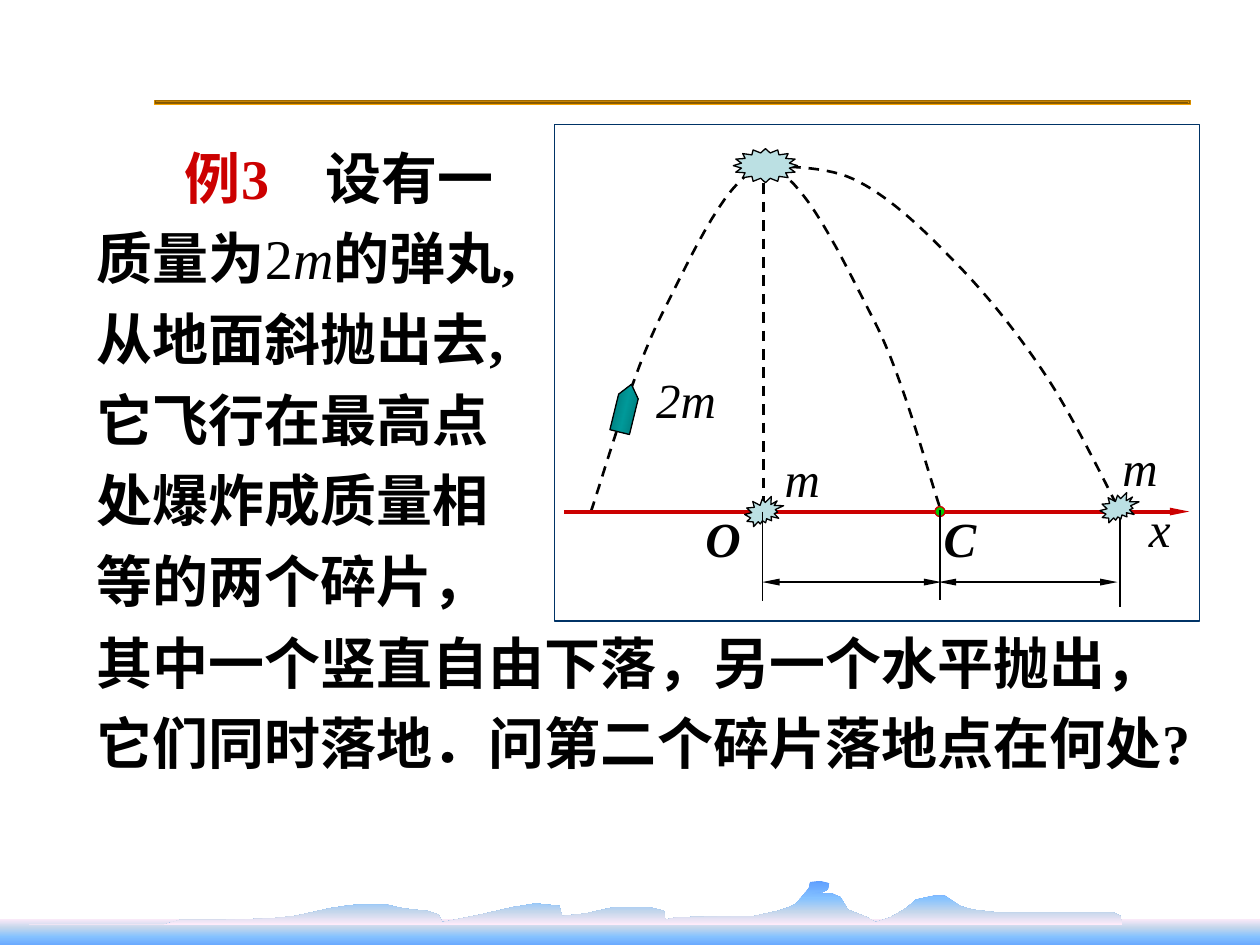
from lxml import etree
from pptx import Presentation
from pptx.dml.color import RGBColor
from pptx.enum.dml import MSO_LINE
from pptx.enum.shapes import MSO_CONNECTOR, MSO_SHAPE
from pptx.oxml.ns import qn
from pptx.util import Inches, Pt

RECTANGLE, OVAL = MSO_SHAPE.RECTANGLE, MSO_SHAPE.OVAL
BURST, STAR = MSO_SHAPE.EXPLOSION2, MSO_SHAPE.STAR_16_POINT
PENTAGON = MSO_SHAPE.PENTAGON
STRAIGHT, DASH = MSO_CONNECTOR.STRAIGHT, MSO_LINE.DASH

COLORS = {
    "black": "000000", "red": "CC0000", "green": "00CC00",
    "burst": "BBE0E3", "frame": "003366",
    "brown": "825600", "gold": "FFA800",
    "teal": "009999", "dark teal": "006D6D",
    "pink": "FFEBFA", "haze": "C4D6EB", "sky": "85C2FF", "blue": "5E9EFF",
}
LATIN, BODY = "Times New Roman", "Arial"

RULE_STOPS = [(position, "gold" if index % 2 else "brown")
              for index, position in enumerate((0, 13, 28, 43, 58, 72, 87, 100))]
SEA_STOPS = [(0, "pink"), (30, "haze"), (60, "sky"), (100, "blue")]
HILL_STOPS = [(100 - position, color) for position, color in reversed(SEA_STOPS)]
SHELL_STOPS = [(0, "dark teal"), (50, "teal"), (100, "dark teal")]

HILLS = [
    (0.23, 7.34), (1.3, 7.34), (1.43, 7.3), (1.78, 7.3), (2.14, 7.29), (2.34, 7.27),
    (2.48, 7.24), (2.61, 7.21), (2.74, 7.19), (2.83, 7.18), (3.07, 7.18), (3.2, 7.21),
    (3.39, 7.23), (3.48, 7.26), (3.51, 7.32), (3.81, 7.26), (3.94, 7.23), (4.07, 7.2),
    (4.25, 7.17), (4.44, 7.19), (4.46, 7.27), (4.65, 7.25), (4.87, 7.2), (5.15, 7.2),
    (5.27, 7.23), (5.28, 7.3), (5.37, 7.28), (5.89, 7.27), (5.99, 7.27), (6.17, 7.23),
    (6.26, 7.2), (6.32, 7.17), (6.42, 7.05), (6.43, 7), (6.51, 6.99), (6.58, 7.01),
    (6.57, 7.06), (6.53, 7.08), (6.41, 7.09), (6.6, 7.09), (6.67, 7.12), (6.73, 7.22),
    (6.88, 7.28), (6.95, 7.32), (7.07, 7.28), (7.19, 7.21), (7.27, 7.14), (7.36, 7.12),
    (7.41, 7.11), (7.5, 7.11), (7.56, 7.15), (7.62, 7.19), (7.72, 7.22), (7.9, 7.24),
    (8.83, 7.24), (8.89, 7.27), (8.91, 7.34),
]
# Bézier control points: a start, then three points for each segment
SHELL_PATH = [(4.69, 4.06), (4.78, 3.8), (5.02, 2.95), (5.25, 2.5),
              (5.48, 2.05), (5.8, 1.32), (6.08, 1.33),
              (6.36, 1.34), (6.7, 2.09), (6.94, 2.55),
              (7.17, 3), (7.36, 3.74), (7.47, 4.06)]
FRAGMENT_PATH = [(5.98, 1.31), (6.11, 1.33), (6.51, 1.3), (6.77, 1.42),
                 (7.03, 1.54), (7.3, 1.79), (7.55, 2.05),
                 (7.8, 2.3), (8.06, 2.62), (8.28, 2.95),
                 (8.51, 3.29), (8.77, 3.83), (8.89, 4.06)]


def bezier_points(controls, steps=16):
    points = [controls[0]]
    for start in range(0, len(controls) - 1, 3):
        segment = controls[start:start + 4]
        for step in range(1, steps + 1):
            t = step / steps
            weights = ((1 - t) ** 3, 3 * t * (1 - t) ** 2, 3 * t * t * (1 - t), t ** 3)
            points.append(tuple(sum(w * point[axis] for w, point in zip(weights, segment))
                                for axis in (0, 1)))
    return points


class SlideBuilder:
    """Draws styled elements on one slide."""

    def __init__(self, slide):
        self.slide = slide

    def color(self, name):
        return RGBColor.from_string(COLORS[name])

    def gradient(self, shape, stops, centred):
        """Fill with several stops, downwards or inwards to the centre."""
        shape.fill.gradient()
        element = shape._element.spPr.find(qn("a:gradFill"))
        for child in list(element):
            element.remove(child)
        stop_list = etree.SubElement(element, qn("a:gsLst"))
        for position, name in stops:
            stop = etree.SubElement(stop_list, qn("a:gs"), pos=str(position * 1000))
            etree.SubElement(stop, qn("a:srgbClr"), val=COLORS[name])
        if centred:
            inward = etree.SubElement(element, qn("a:path"), path="shape")
            etree.SubElement(inward, qn("a:fillToRect"),
                             {side: "50000" for side in "ltrb"})
        else:
            etree.SubElement(element, qn("a:lin"), ang="5400000", scaled="0")

    def style(self, shape, fill=None, line=None, width=0.75, dash=None, centred=False):
        """A list as fill is a list of gradient stops."""
        shape.shadow.inherit = False
        if isinstance(fill, list):
            self.gradient(shape, fill, centred)
        elif fill:
            shape.fill.solid()
            shape.fill.fore_color.rgb = self.color(fill)
        else:
            shape.fill.background()
        if line:
            shape.line.color.rgb = self.color(line)
            shape.line.width = Pt(width)
            if dash:
                shape.line.dash_style = dash
        else:
            shape.line.fill.background()

    def shape(self, kind, box, **style):
        shape = self.slide.shapes.add_shape(kind, *map(Inches, box))
        self.style(shape, **style)
        return shape

    def outline(self, points, close, **style):
        start, *others = [(Inches(x), Inches(y)) for x, y in points]
        builder = self.slide.shapes.build_freeform(*start)
        builder.add_line_segments(others, close=close)
        self.style(builder.convert_to_shape(), **style)

    def line(self, start, end, color="black", width=0.75, dash=None, arrows=()):
        line = self.slide.shapes.add_connector(STRAIGHT, *map(Inches, start + end))
        line.line.color.rgb = self.color(color)
        line.line.width = Pt(width)
        if dash:
            line.line.dash_style = dash
        for arrow in arrows:
            etree.SubElement(line.line._get_or_add_ln(), qn(f"a:{arrow}"),
                             type="triangle", w="sm", len="lg")
        etree.SubElement(line._element.spPr, qn("a:effectLst"))

    def paragraph(self, box, size, bold):
        frame = self.slide.shapes.add_textbox(*map(Inches, box)).text_frame
        frame.word_wrap = True
        paragraph = frame.paragraphs[0]
        paragraph.font.size = Pt(size)
        paragraph.font.bold = bold
        return paragraph

    def label(self, text, box, bold=False):
        paragraph = self.paragraph(box, 28, bold)
        paragraph.font.name = LATIN
        paragraph.font.italic = True
        paragraph.font.color.rgb = self.color("black")
        paragraph.add_run().text = text

    def body(self, box, runs, indent=0):
        """Each run is text, font, colour and any further font settings."""
        paragraph = self.paragraph(box, 32, True)
        paragraph.line_spacing = 1.2
        paragraph._p.get_or_add_pPr().set("indent", str(Inches(indent)))
        for text, font, color, settings in runs:
            run = paragraph.add_run()
            run.text = text
            run.font.name = font
            run.font.color.rgb = self.color(color)
            for name, value in settings.items():
                setattr(run.font, name, value)


def main():
    presentation = Presentation()
    presentation.slide_width, presentation.slide_height = Inches(10), Inches(7.5)
    builder = SlideBuilder(presentation.slides.add_slide(presentation.slide_layouts[6]))

    builder.shape(RECTANGLE, (1.22, 0.79, 8.23, 0.04), fill=RULE_STOPS, centred=True)
    builder.shape(RECTANGLE, (0, 7.29, 10, 0.24), fill=SEA_STOPS)
    builder.outline(HILLS, True, fill=HILL_STOPS)

    builder.body((0.67, 0.98, 3.7, 3.93), [
        ("例", BODY, "red", {}),
        ("3　", LATIN, "red", {}),
        ("设有一质量为", LATIN, "black", {}),
        ("2", LATIN, "black", {"bold": False}),
        ("m", LATIN, "black", {"bold": False, "italic": True}),
        ("的弹丸,从地面斜抛出去,它飞行在最高点处爆炸成质量相等的两个碎片，", LATIN, "black", {}),
    ], indent=0.7)
    builder.body((0.67, 4.83, 8.82, 1.38), [
        ("其中一个竖直自由下落，另一个水平抛出，它们同时落地．问第二个碎片落地点在何处",
         BODY, "black", {}),
        ("?", LATIN, "black", {}),
    ])

    for controls in (SHELL_PATH, FRAGMENT_PATH):
        builder.outline(bezier_points(controls), False, line="black", width=1.5, dash=DASH)
    builder.line((4.48, 4.06), (9.44, 4.06), "red", 2.25, arrows=["tailEnd"])
    builder.line((6.06, 1.31), (6.06, 4.06), width=1.5, dash=DASH)
    for left, top in ((5.91, 3.94), (8.73, 3.91)):
        builder.shape(BURST, (left, top, 0.31, 0.24), fill="burst", line="black")
    shell = builder.shape(PENTAGON, (4.77, 3.16, 0.39, 0.16), fill=SHELL_STOPS, line="black")
    shell.adjustments[0] = 0.62
    shell.rotation = 283.8
    explosion = builder.shape(STAR, (5.82, 1.18, 0.51, 0.27), fill="burst", line="black")
    explosion.adjustments[0] = 0.38
    builder.shape(OVAL, (7.42, 4.02, 0.08, 0.08), fill="green", line="red")

    for x, top in ((6.05, 4.06), (7.46, 4.05), (8.89, 4.11)):
        builder.line((x, top), (x, top + 0.71))
    for left in (6.05, 7.45):
        builder.line((left, 4.62), (left + 1.42, 4.62), arrows=["headEnd", "tailEnd"])

    for text, left in (("C", 7.39), ("O", 5.5)):
        builder.label(text, (left, 3.99, 0.39, 0.57), bold=True)
    for text, left, top, width in (("m", 8.81, 3.42, 0.63), ("2m", 5.11, 2.88, 0.79),
                                   ("m", 6.13, 3.51, 0.63), ("x", 9.02, 3.91, 0.63)):
        builder.label(text, (left, top, width, 0.57))
    builder.shape(RECTANGLE, (4.4, 0.99, 5.12, 3.94), line="frame")

    presentation.save("out.pptx")


if __name__ == "__main__":
    main()
